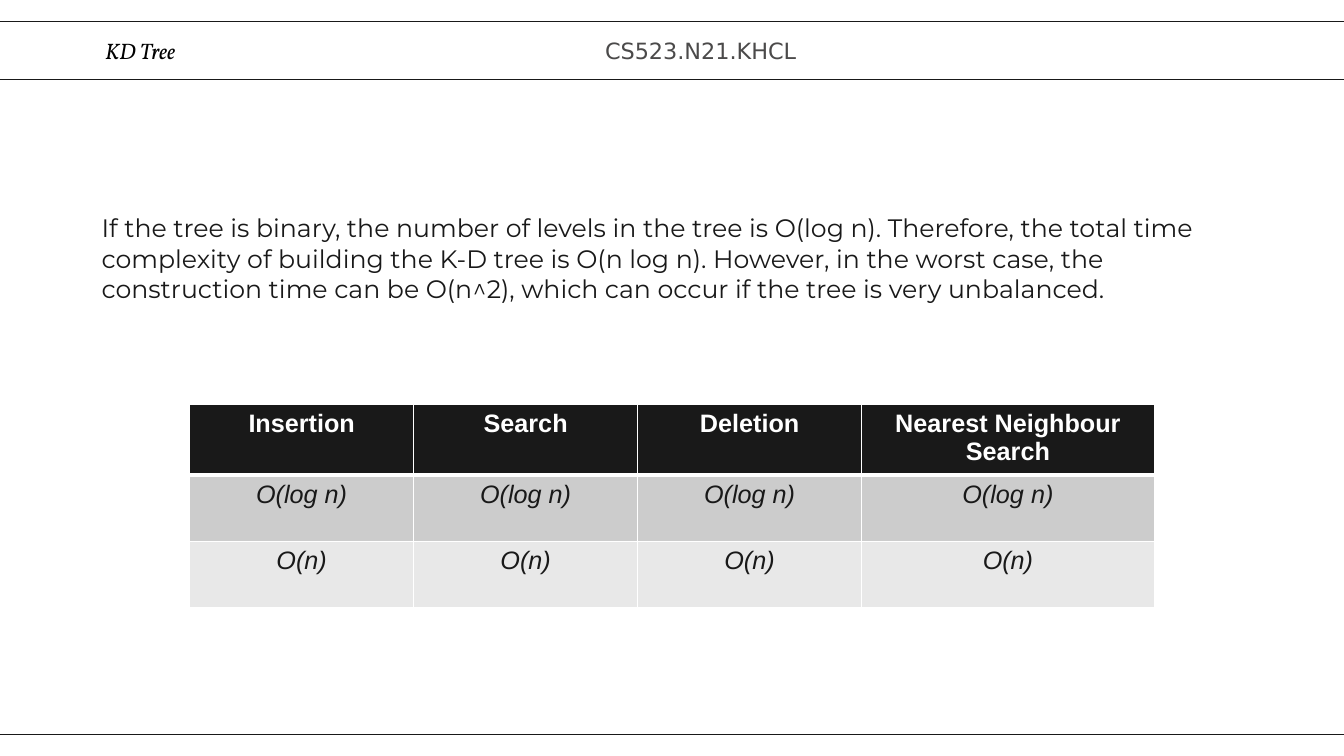
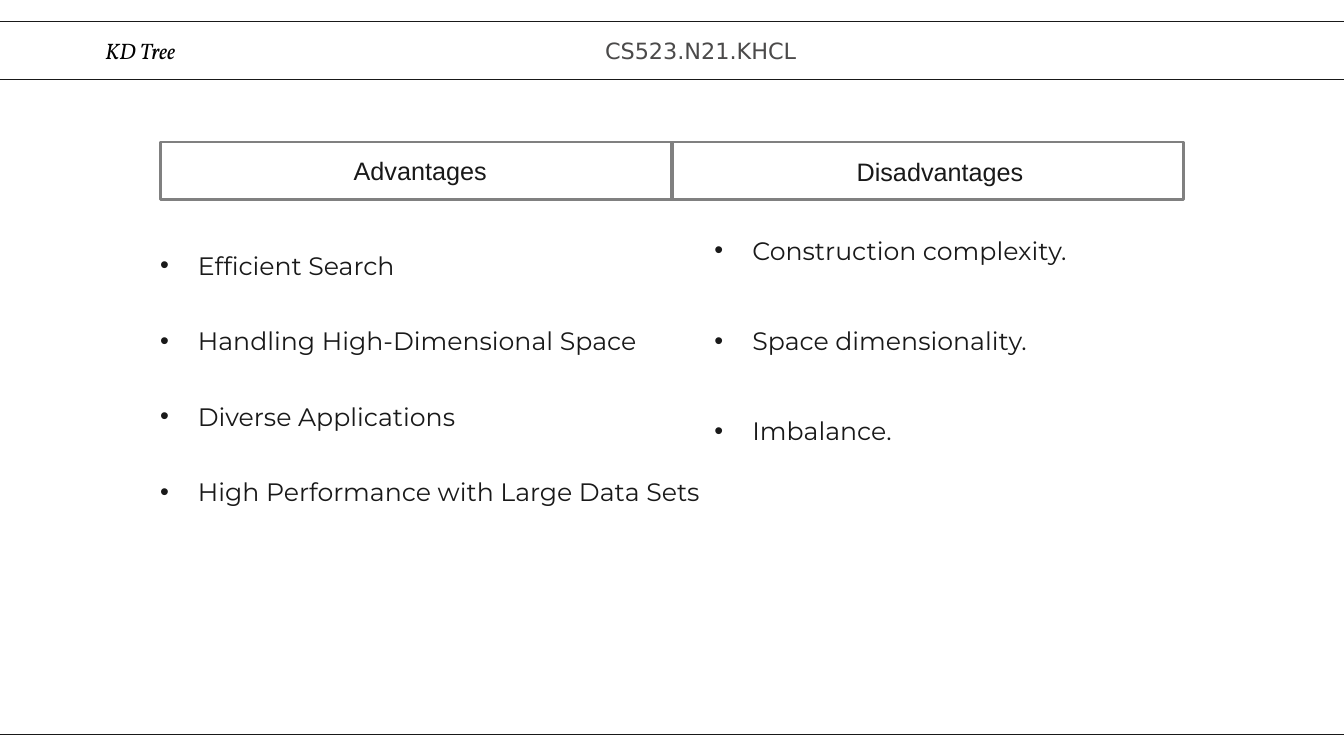
from lxml import etree
from pptx import Presentation
from pptx.dml.color import RGBColor
from pptx.enum.shapes import MSO_CONNECTOR, MSO_SHAPE
from pptx.enum.text import MSO_ANCHOR, PP_ALIGN
from pptx.oxml import parse_xml
from pptx.oxml.ns import nsdecls, qn
from pptx.util import Pt

RECTANGLE = MSO_SHAPE.RECTANGLE
STRAIGHT = MSO_CONNECTOR.STRAIGHT
MIDDLE = MSO_ANCHOR.MIDDLE
LEFT = PP_ALIGN.LEFT
CENTER = PP_ALIGN.CENTER

BLACK = RGBColor(0x00, 0x00, 0x00)
INK = RGBColor(0x19, 0x19, 0x19)
COURSE_GRAY = RGBColor(0x4B, 0x4A, 0x4A)
FRAME_GRAY = RGBColor(0x80, 0x80, 0x80)
WHITE = RGBColor(0xFF, 0xFF, 0xFF)
ROW_FILLS = [INK, RGBColor(0xCC, 0xCC, 0xCC), RGBColor(0xE8, 0xE8, 0xE8)]

BODY_FONT = "Montserrat"
LABEL_FONT = "Arial"
HEADER_INSET = Pt(9.6)
BULLET_INDENT = Pt(27)


def add_run(paragraph, text, font_name, size=18, color=INK, bold=False, italic=False):
    run = paragraph.add_run()
    run.text = text
    run.font.name = font_name
    run.font.size = Pt(size)
    run.font.color.rgb = color
    run.font.bold = bold
    run.font.italic = italic


def add_outline(slide, left, top, width, height, color, weight):
    shape = slide.shapes.add_shape(RECTANGLE, Pt(left), Pt(top), Pt(width), Pt(height))
    shape.shadow.inherit = False
    shape.fill.background()
    shape.line.color.rgb = color
    shape.line.width = Pt(weight)


presentation = Presentation()
presentation.slide_width = Pt(960)
presentation.slide_height = Pt(540)
title_only = presentation.slide_layouts[5]

slides = [presentation.slides.add_slide(title_only) for _ in range(2)]
for slide in slides:
    for top, height in [(15.6, 41), (524.4, 21.6)]:
        add_outline(slide, -17.2, top, 994.4, height, INK, 0.75)

    title = slide.shapes.title
    title.left, title.top, title.width, title.height = Pt(65.5), Pt(23), Pt(115.2), Pt(26)
    add_run(title.text_frame.paragraphs[0], "KD Tree", "Vollkorn", 16, BLACK, italic=True)

    course = slide.shapes.add_textbox(Pt(422.6), Pt(23), Pt(175), Pt(26))
    add_run(course.text_frame.paragraphs[0], "CS523.N21.KHCL", "DejaVu Sans", 16, COURSE_GRAY)

    for header in (title, course):
        frame = header.text_frame
        frame.word_wrap = True
        frame.vertical_anchor = MIDDLE
        frame.margin_left = frame.margin_right = HEADER_INSET
        frame.margin_top = frame.margin_bottom = HEADER_INSET
        frame.paragraphs[0].alignment = LEFT

complexity_slide, comparison_slide = slides

summary = complexity_slide.shapes.add_textbox(Pt(65.5), Pt(148.3), Pt(808.6), Pt(72.7))
summary.text_frame.word_wrap = True
add_run(
    summary.text_frame.paragraphs[0],
    "If the tree is binary, the number of levels in the tree is O(log n). "
    "Therefore, the total time complexity of building the K-D tree is O(n log n). "
    "However, in the worst case, the construction time can be O(n^2), "
    "which can occur if the tree is very unbalanced.",
    BODY_FONT,
)

complexity_rows = [
    ["Insertion", "Search", "Deletion", "Nearest Neighbour Search"],
    ["O(log n)"] * 4,
    ["O(n)"] * 4,
]
column_widths = [160, 160, 160, 209]
row_height = 47.2
table = complexity_slide.shapes.add_table(
    3, 4, Pt(135.5), Pt(289), Pt(sum(column_widths)), Pt(3 * row_height)
).table
for column, width in zip(table.columns, column_widths):
    column.width = Pt(width)
for row_index, texts in enumerate(complexity_rows):
    table.rows[row_index].height = Pt(row_height)
    is_header = row_index == 0
    for column_index, text in enumerate(texts):
        cell = table.cell(row_index, column_index)
        properties = cell._tc.get_or_add_tcPr()
        border_weights = {
            "lnL": 1,
            "lnR": 1,
            "lnT": 3 if row_index == 1 else 1,
            "lnB": 3 if is_header else 1,
        }
        for side, weight in border_weights.items():
            properties.append(parse_xml(
                f'<a:{side} {nsdecls("a")} w="{Pt(weight)}"><a:solidFill>'
                f'<a:srgbClr val="{WHITE}"/></a:solidFill></a:{side}>'
            ))
        cell.fill.solid()
        cell.fill.fore_color.rgb = ROW_FILLS[row_index]
        paragraph = cell.text_frame.paragraphs[0]
        paragraph.alignment = CENTER
        add_run(paragraph, text, LABEL_FONT, color=WHITE if is_header else INK,
                bold=is_header, italic=not is_header)

add_outline(comparison_slide, 114.5, 101.5, 731, 41, FRAME_GRAY, 2)
divider = comparison_slide.shapes.add_connector(
    STRAIGHT, Pt(480), Pt(101.5), Pt(480), Pt(142.5)
)
divider.line.color.rgb = FRAME_GRAY
divider.line.width = Pt(2.25)
etree.SubElement(divider._element.spPr, qn("a:effectLst"))

for heading, left, top in [("Advantages", 245.5, 107.3), ("Disadvantages", 604.8, 108)]:
    label = comparison_slide.shapes.add_textbox(Pt(left), Pt(top), Pt(195), Pt(29))
    label.text_frame.word_wrap = True
    add_run(label.text_frame.paragraphs[0], heading, LABEL_FONT)

advantages = [
    "Efficient Search",
    "Handling High-Dimensional Space",
    "Diverse Applications",
    "High Performance with Large Data Sets",
]
disadvantages = ["Construction complexity.", "Space dimensionality.", "Imbalance."]
bullet_lists = [
    (advantages, 107.3, 142.6, 468, 216, 2.5, 0),
    (disadvantages, 503.3, 164.2, 446, 160, 1, 43),
]
for items, left, top, width, height, line_spacing, gap in bullet_lists:
    box = comparison_slide.shapes.add_textbox(Pt(left), Pt(top), Pt(width), Pt(height))
    frame = box.text_frame
    frame.word_wrap = True
    for index, item in enumerate(items):
        paragraph = frame.add_paragraph() if index else frame.paragraphs[0]
        paragraph.line_spacing = line_spacing
        paragraph.space_before = Pt(gap if index else 0)
        properties = paragraph._p.get_or_add_pPr()
        properties.set("marL", str(BULLET_INDENT))
        properties.set("indent", str(-BULLET_INDENT))
        etree.SubElement(properties, qn("a:buFont")).set("typeface", LABEL_FONT)
        etree.SubElement(properties, qn("a:buChar")).set("char", "•")
        add_run(paragraph, item, BODY_FONT)

presentation.save("out.pptx")
